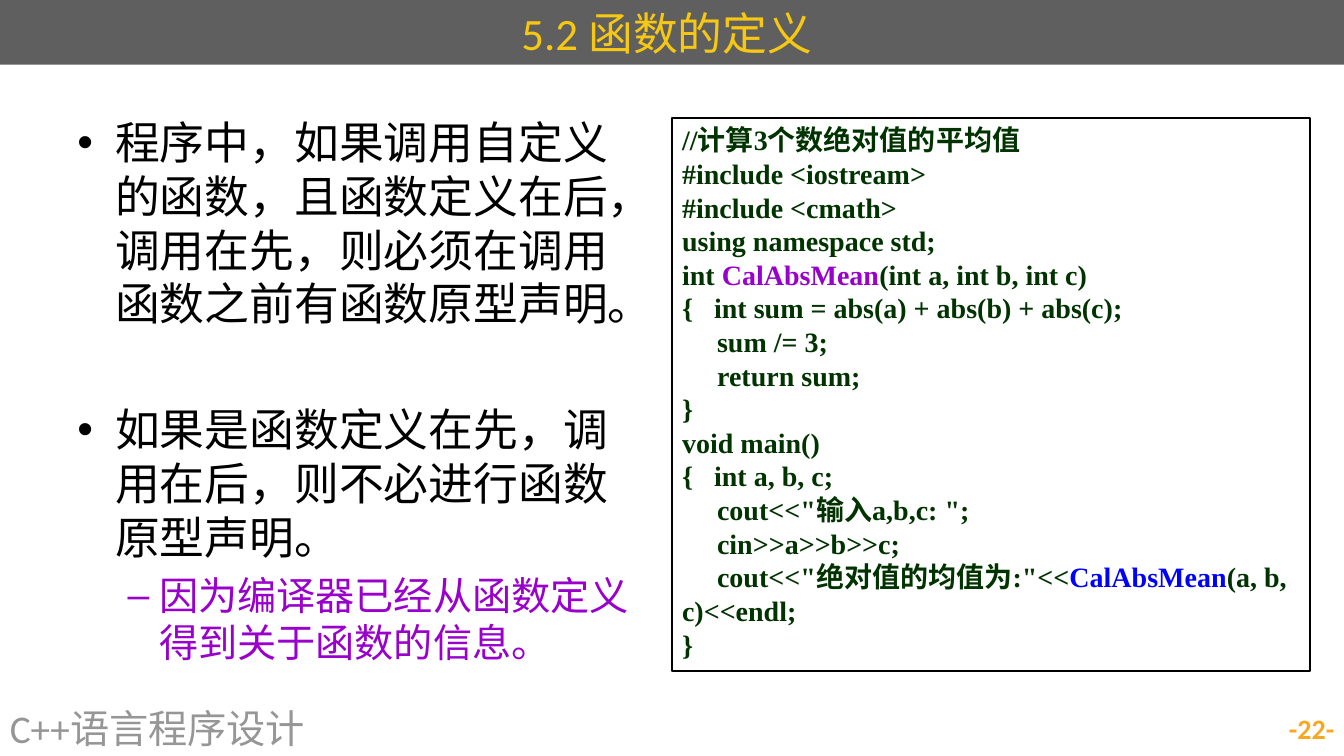
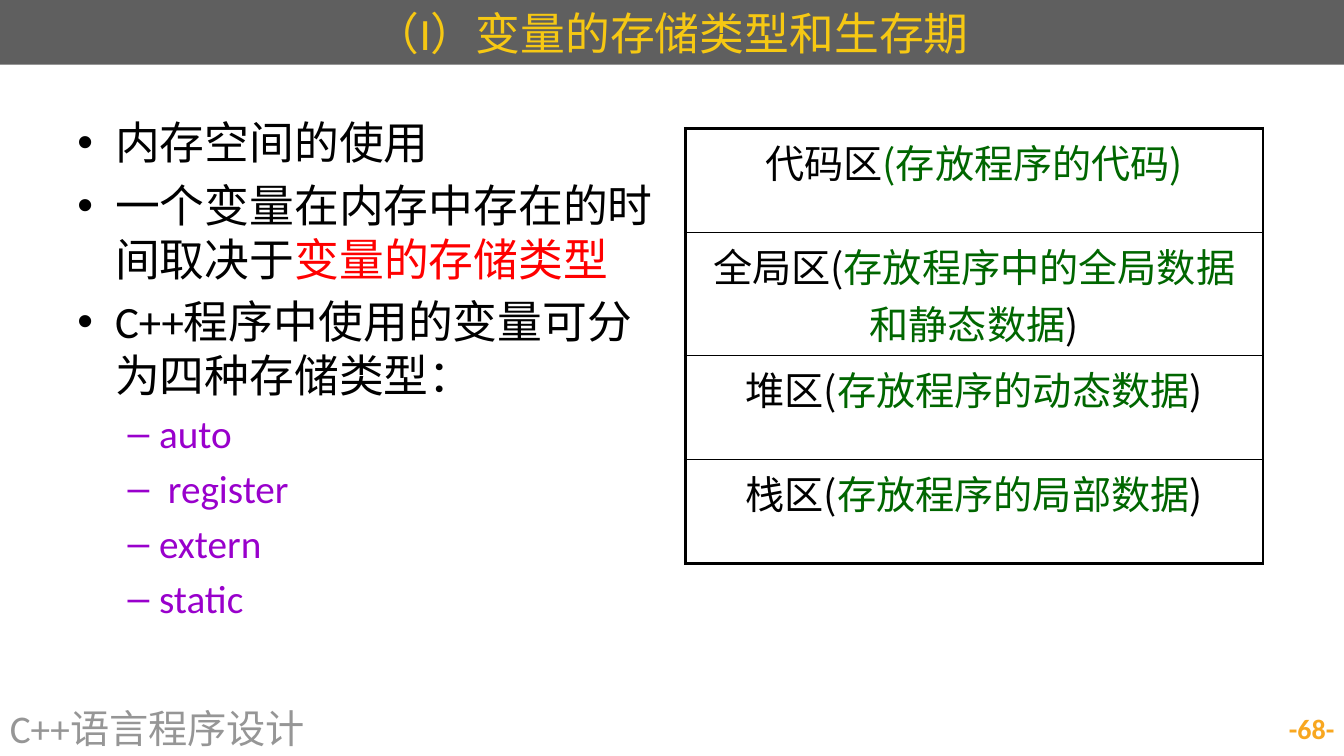
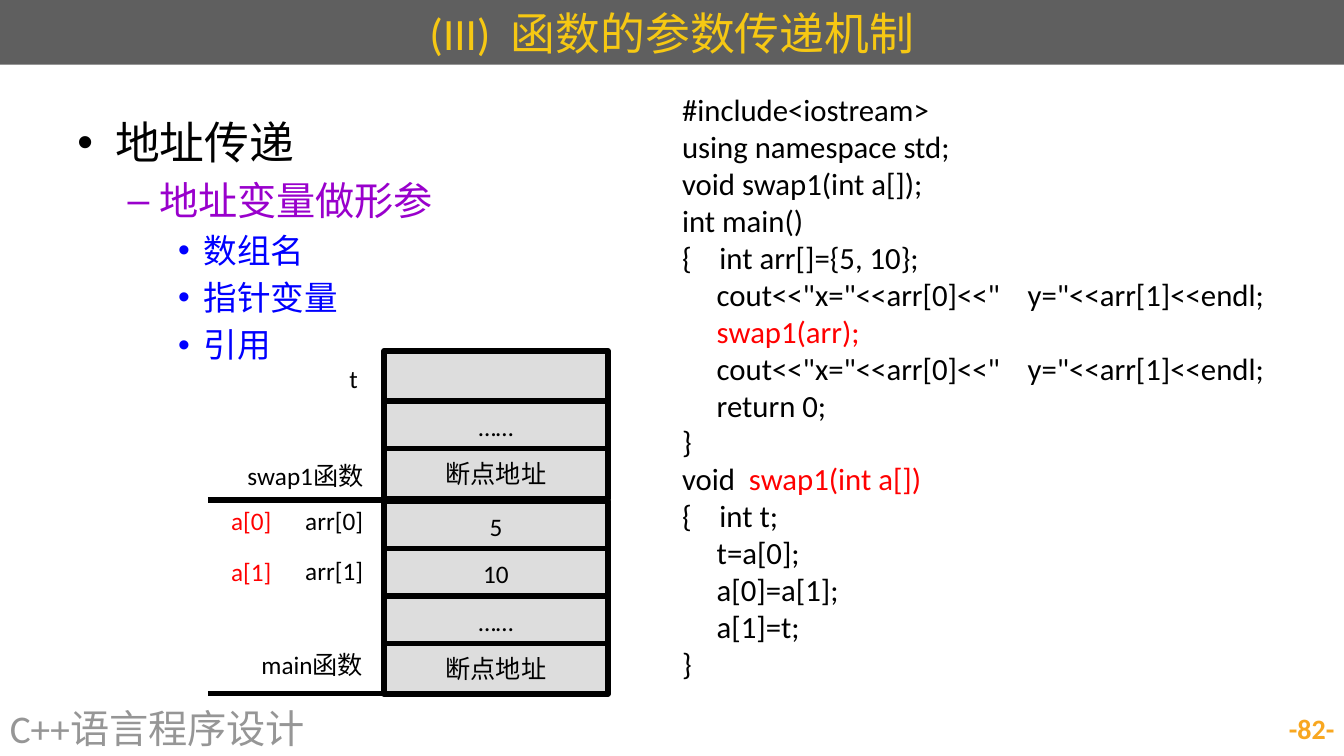
import pptx
import pptx.util
import pptx.dml.color
import pptx.enum.text
import pptx.enum.shapes
import pptx.oxml.ns
from lxml import etree

Cm, Pt = pptx.util.Cm, pptx.util.Pt
qn = pptx.oxml.ns.qn
ALIGN = pptx.enum.text.PP_ALIGN
MID = pptx.enum.text.MSO_ANCHOR.MIDDLE
RECT = pptx.enum.shapes.MSO_SHAPE.RECTANGLE
LINE = pptx.enum.shapes.MSO_CONNECTOR.STRAIGHT

HUES = {
    "band": "5F5F5F", "title": "F6C813", "foot": "969696", "page": "F8A720",
    "black": "000000", "purple": "9900CC", "blue": "0000FF", "red": "FF0000",
    "code": "003300", "green": "006600", "cell": "DDDDDD",
}
RGB = {name: pptx.dml.color.RGBColor.from_string(h) for name, h in HUES.items()}
SANS, SERIF, CJK = "Calibri", "Times New Roman", "Noto Sans CJK SC"

# Text styles: font values, plus the default hue of a run
TITLE = {"size": Pt(32), "name": SANS, "hue": "title"}
FOOT = {"size": Pt(28), "name": SANS, "hue": "foot"}
PAGE = {"size": Pt(20), "name": SANS, "bold": True, "hue": "page"}
CODE = {"size": Pt(20), "name": SERIF, "bold": True, "hue": "code"}
PLAIN = {"size": Pt(22), "name": SANS, "hue": "black"}
GRID = {"size": Pt(28), "name": CJK, "hue": "black"}
LABEL = {"size": Pt(18), "name": SANS, "hue": "black"}

# Bullet levels: style, left indent, hanging indent, mark
LEVELS = [
    ({"size": Pt(32), "name": SANS, "hue": "black"}, 0.95, 0.95, "•"),
    ({"size": Pt(28), "name": SANS, "hue": "purple"}, 2.06, 0.79, "–"),
    ({"size": Pt(24), "name": SANS, "hue": "blue"}, 3.18, 0.64, "•"),
]


def write(para, runs, style, **form):
    """Fill a paragraph from a string or a list of (text, hue) pairs."""
    for key, val in form.items():
        setattr(para, key, val)
    for text, hue in [(runs, None)] if isinstance(runs, str) else runs:
        run = para.add_run()
        run.text = text
        for key, val in style.items():
            if key != "hue":
                setattr(run.font, key, val)
        run.font.color.rgb = RGB[hue or style["hue"]]
        etree.SubElement(run.font._element, qn("a:ea")).set("typeface", CJK)


def box(slide, left, top, wide, high, fill=None, edge=None):
    """Add a rectangle, plain or with a fill and an edge; return its frame."""
    item = slide.shapes.add_shape(RECT, Cm(left), Cm(top), Cm(wide), Cm(high))
    item.shadow.inherit = False
    item.fill.background()
    item.line.fill.background()
    if fill:
        item.fill.solid()
        item.fill.fore_color.rgb = RGB[fill]
    if edge:
        item.line.color.rgb = RGB["black"]
        item.line.width = Pt(edge)
    frame = item.text_frame
    frame.word_wrap = True
    frame.vertical_anchor = pptx.enum.text.MSO_ANCHOR.TOP
    return frame


# Content: title, page, body width, bullets as (level, runs)
PAGES = [
    ("5.2 函数的定义 ", 22, 14.83, [
        (0, "程序中，如果调用自定义的函数，且函数定义在后，调用在先，则必须在调用函数之前有函数原型声明。"),
        (0, "如果是函数定义在先，调用在后，则不必进行函数原型声明。"),
        (1, "因为编译器已经从函数定义得到关于函数的信息。"),
    ]),
    ("（I）变量的存储类型和生存期", 68, 15.24, [
        (0, "内存空间的使用"),
        (0, [("一个变量在内存中存在的时间取决于", None), ("变量的存储类型", "red")]),
        (0, "C++程序中使用的变量可分为四种存储类型："),
        (1, "auto"), (1, " register"), (1, "extern"), (1, "static"),
    ]),
    ("(III)  函数的参数传递机制", 82, 30.48, [
        (0, "地址传递"), (1, "地址变量做形参"),
        (2, "数组名"), (2, "指针变量"), (2, "引用"),
    ]),
]

MEAN = [
    "//计算3个数绝对值的平均值",
    "#include <iostream>",
    "#include <cmath>",
    "using namespace std;",
    [("int ", None), ("CalAbsMean", "purple"), ("(int a, int b, int c)", None)],
    "{   int sum = abs(a) + abs(b) + abs(c);",
    "     sum /= 3;",
    "     return sum;",
    "}",
    "void main()",
    "{   int a, b, c;",
    '     cout<<"输入a,b,c: ";',
    "     cin>>a>>b>>c;",
    [('     cout<<"绝对值的均值为:"<<', None), ("CalAbsMean", "blue"),
     ("(a, b, c)<<endl;", None)],
    "}",
]

SHOW = '     cout<<"x="<<arr[0]<<"    y="<<arr[1]<<endl;'
SWAP = [
    "#include<iostream>",
    "using namespace std;",
    "void swap1(int a[]);",
    "int main()",
    "{    int arr[]={5, 10};",
    SHOW,
    [("     swap1(arr);", "red")],
    SHOW,
    "     return 0;",
    "}",
    [("void  ", None), ("swap1(int a[])", "red")],
    "{    int t;",
    "     t=a[0];",
    "     a[0]=a[1];",
    "     a[1]=t;",
    "}",
]

deck = pptx.Presentation()
deck.slide_width, deck.slide_height = Cm(33.87), Cm(19.05)

# Shared parts: title band, bullets, footer, page number
slides = []
for title, page, wide, items in PAGES:
    slide = deck.slides.add_slide(deck.slide_layouts[5])
    slides.append(slide)
    head = slide.shapes.title
    head.left, head.top, head.width, head.height = 0, 0, Cm(33.87), Cm(1.63)
    head.fill.solid()
    head.fill.fore_color.rgb = RGB["band"]
    head.text_frame.vertical_anchor = MID
    head.text_frame.auto_size = pptx.enum.text.MSO_AUTO_SIZE.NONE
    write(head.text_frame.paragraphs[0], title, TITLE, alignment=ALIGN.CENTER)

    body = box(slide, 1.7, 2.77, wide, 14.25)
    for i, (level, runs) in enumerate(items):
        style, left, hang, mark = LEVELS[level]
        size = style["size"].pt
        gap = 0.2 * size if i else 0
        if page == 22 and i == 1:
            gap = 51.5
        para = body.add_paragraph() if i else body.paragraphs[0]
        write(para, runs, style, alignment=ALIGN.LEFT, level=level,
              line_spacing=Pt(1.2 * size), space_before=Pt(gap))
        prop = para._p.get_or_add_pPr()
        prop.set("marL", str(Cm(left)))
        prop.set("indent", str(-Cm(hang)))
        etree.SubElement(prop, qn("a:buFont")).set("typeface", "Arial")
        etree.SubElement(prop, qn("a:buChar")).set("char", mark)

    for left, wide, text, style, side in [
        (0, 22.3, "C++语言程序设计", FOOT, ALIGN.LEFT),
        (24.28, 9.6, f"-{page}-", PAGE, ALIGN.RIGHT),
    ]:
        foot = box(slide, left, 17.65, wide, 1.4)
        foot.vertical_anchor = MID
        write(foot.paragraphs[0], text, style, alignment=side)

# Code listings
for slide, area, edge, rows, style in [
    (slides[0], (16.94, 2.97, 16.08, 13.94), 1, MEAN, CODE),
    (slides[2], (16.94, 2.16, 16.46, 15.29), None, SWAP, PLAIN),
]:
    frame = box(slide, *area, edge=edge)
    for i, runs in enumerate(rows):
        para = frame.add_paragraph() if i else frame.paragraphs[0]
        write(para, runs, style, alignment=ALIGN.LEFT,
              line_spacing=Pt(1.2 * style["size"].pt))

# Memory areas table
AREAS = [
    (2.62, [("代码区", None), ("(存放程序的代码)", "green")]),
    (3, [("全局区(", None), ("存放程序中的全局数据和静态数据", "green"), (")", None)]),
    (2.62, [("堆区(", None), ("存放程序的动态数据", "green"), (")", None)]),
    (2.62, [("栈区(", None), ("存放程序的局部数据", "green"), (")", None)]),
]
table = slides[1].shapes.add_table(
    len(AREAS), 1, Cm(17.27), Cm(3.23), Cm(14.56), Cm(10.86)).table
table.first_row = table.horz_banding = False
for i, (high, runs) in enumerate(AREAS):
    table.rows[i].height = Cm(high)
    cell = table.cell(i, 0)
    cell.margin_left = cell.margin_right = Cm(0.33)
    write(cell.text_frame.paragraphs[0], runs, GRID, alignment=ALIGN.CENTER)
    prop = cell._tc.get_or_add_tcPr()
    ends = {"L": 2.25, "R": 2.25, "T": 1 if i else 2.25,
            "B": 2.25 if i == len(AREAS) - 1 else 1}
    for side, width in ends.items():
        line = etree.SubElement(prop, qn("a:ln" + side))
        line.set("w", str(Pt(width)))
        fill = etree.SubElement(line, qn("a:solidFill"))
        etree.SubElement(fill, qn("a:srgbClr")).set("val", HUES["black"])
    cell.fill.background()

# Call stack: a frame for swap1 above a frame for main
last = slides[2]
STEP = 1.2
tops = [8.84] + [10.1 + STEP * i for i in range(2)]
tops += [12.62 + STEP * i for i in range(4)]
for top, text in zip(tops, ["", "……", "断点地址", "5", "10", "……", "断点地址"]):
    frame = box(last, 9.68, top, 5.64, 1.27, "cell", 4)
    frame.word_wrap = False
    frame.vertical_anchor = MID
    if text:
        write(frame.paragraphs[0], text, LABEL, alignment=ALIGN.CENTER)

# Stack labels, set by their right edge
for right, top, wide, text, hue in [
    (9.27, 9.04, 2.26, "t", "black"),
    (9.41, 11.48, 3.96, "swap1函数", "black"),
    (9.4, 12.6, 2.26, "arr[0]", "black"),
    (9.4, 13.87, 2.26, "arr[1]", "black"),
    (7.09, 12.62, 2.26, "a[0]", "red"),
    (7.09, 13.89, 2.26, "a[1]", "red"),
    (9.4, 16.23, 3.96, "main函数", "black"),
]:
    frame = box(last, right - wide, top, wide, 1.02)
    write(frame.paragraphs[0], [(text, hue)], LABEL, alignment=ALIGN.RIGHT)

# Frame base lines
for high in (12.6, 17.48):
    base = last.shapes.add_connector(LINE, Cm(5.24), Cm(high), Cm(9.77), Cm(high))
    base.line.color.rgb = RGB["black"]
    base.line.width = Pt(4)
    etree.SubElement(base._element.spPr, qn("a:effectLst"))

deck.save("out.pptx")
